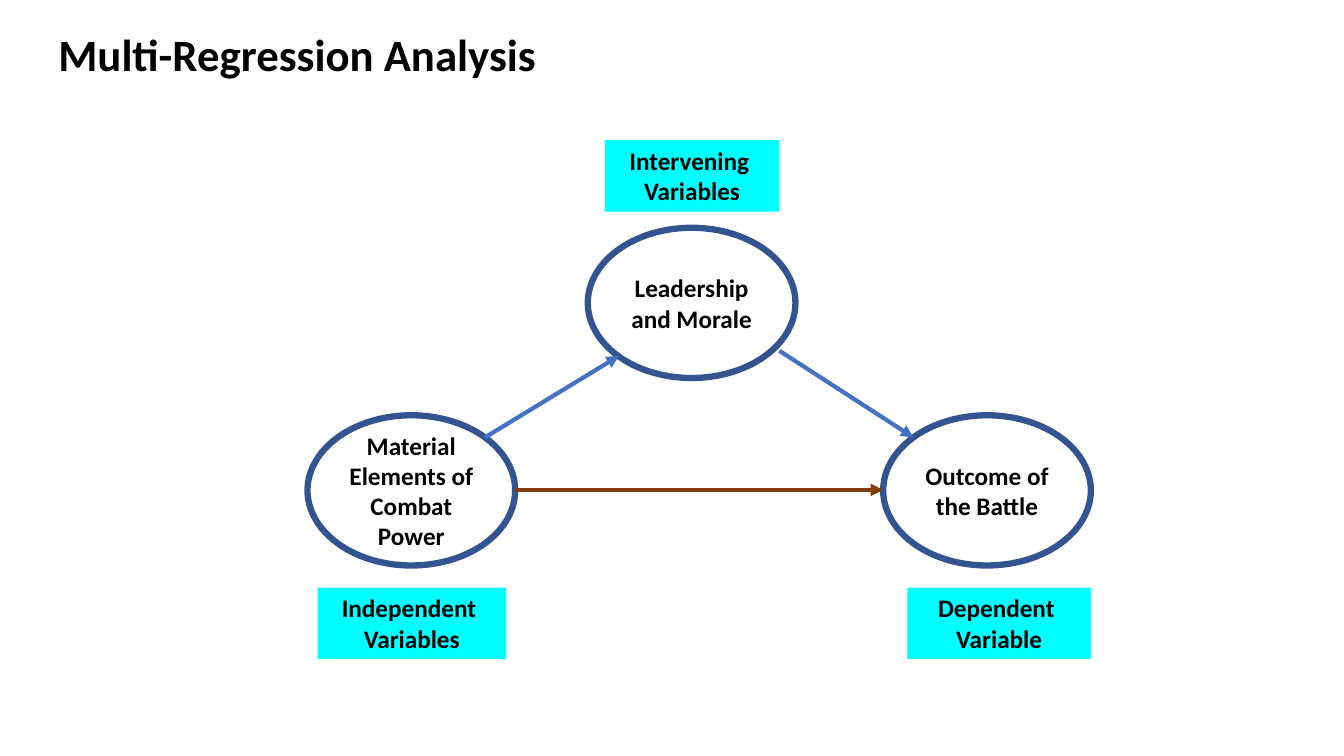
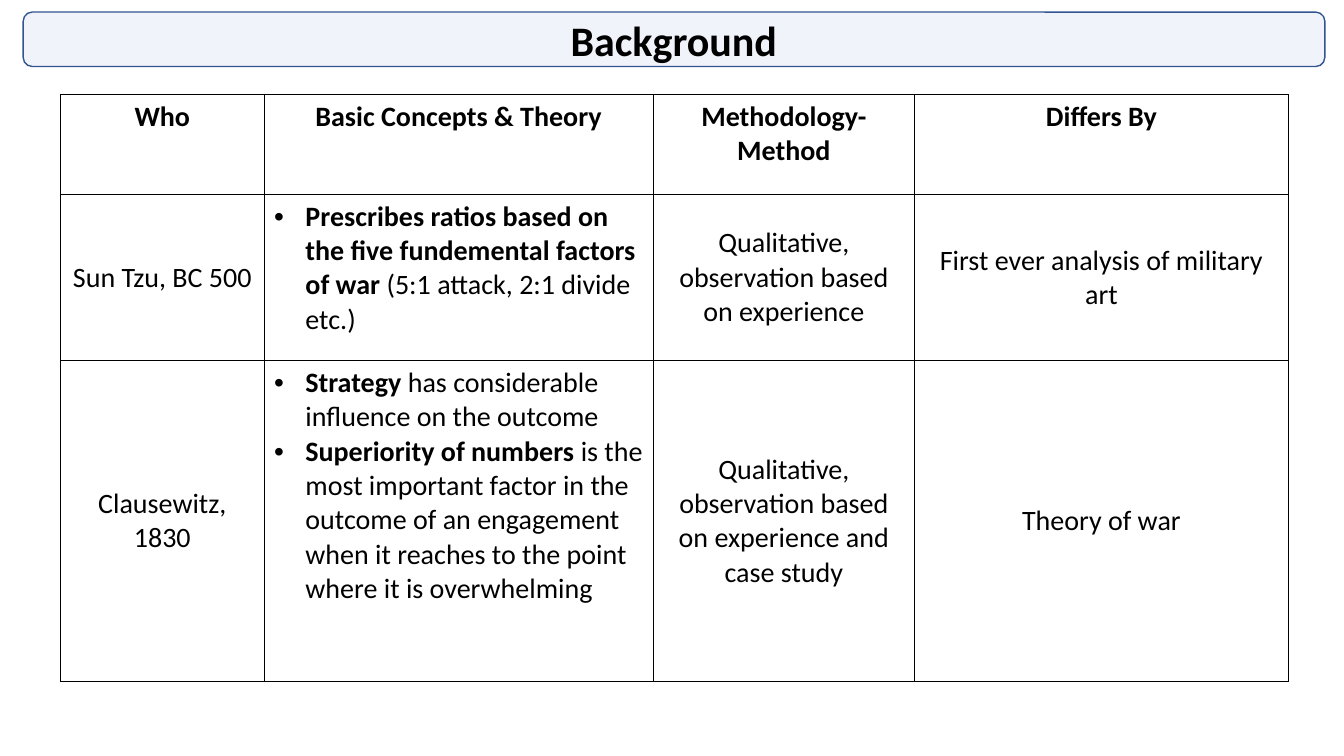
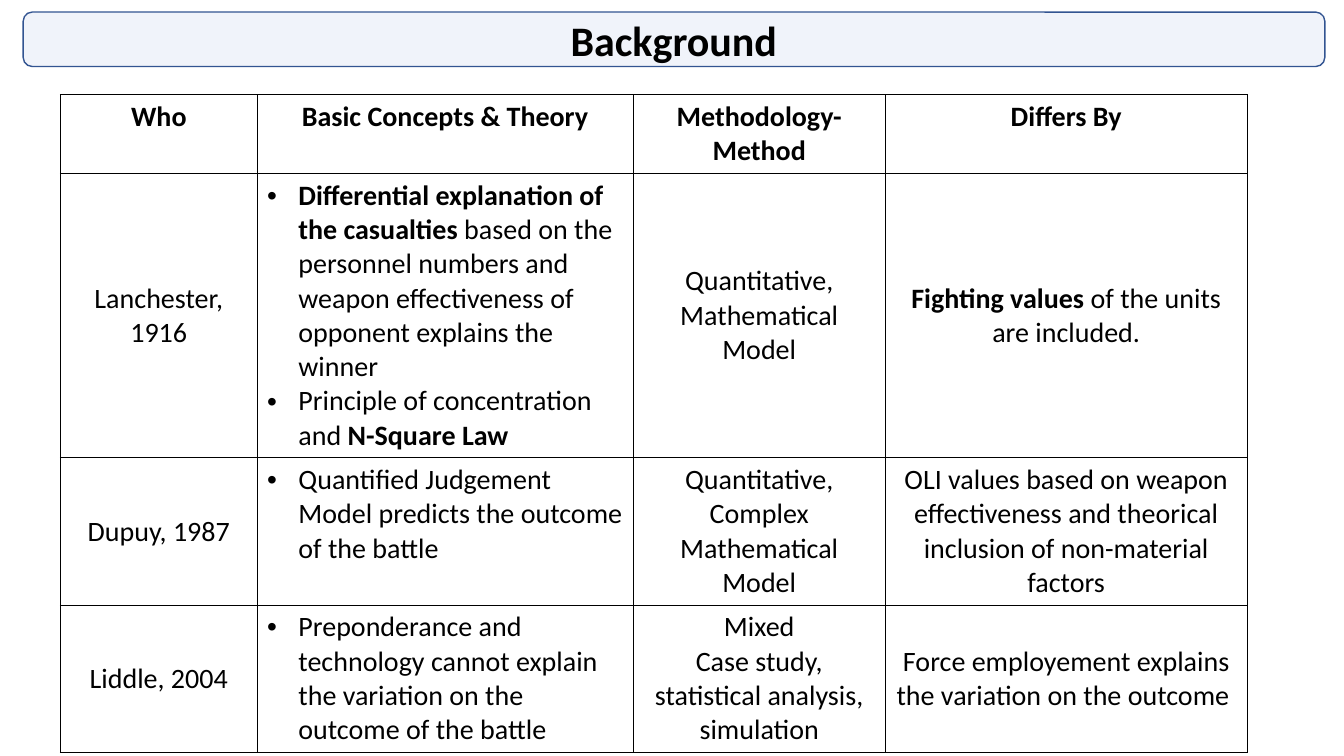
from dataclasses import dataclass
from typing import NamedTuple

import lxml.etree
import pptx
import pptx.dml.color
import pptx.enum.shapes
import pptx.enum.text
import pptx.oxml.ns
import pptx.util

Inches = pptx.util.Inches
Pt = pptx.util.Pt
qn = pptx.oxml.ns.qn
ALIGN = pptx.enum.text.PP_ALIGN
ANCHOR = pptx.enum.text.MSO_ANCHOR
SHAPE = pptx.enum.shapes.MSO_SHAPE

# Shared style
COLOURS = {
    "text": "000000",
    "outline": "325491",
    "blue": "4472C4",
    "brown": "843C0B",
    "label": "00FFFF",
}
FONT = "Calibri"
BULLET_INDENT = Inches(0.31)


class Span(NamedTuple):
    text: str
    bold: bool = False


Paragraphs = list[list[Span]]


@dataclass
class Node:
    text: str
    left: float
    top: float


@dataclass
class Label:
    lines: tuple[str, str]
    left: float
    top: float
    width: float


@dataclass
class Arrow:
    start: tuple[float, float]
    end: tuple[float, float]
    colour: str


@dataclass
class Source:
    who: str
    concepts: Paragraphs
    method: Paragraphs
    differs: Paragraphs


@dataclass
class Grid:
    widths: list[float]
    heights: list[float]
    total_height: float
    sources: list[Source]


def rgb(name: str) -> pptx.dml.color.RGBColor:
    return pptx.dml.color.RGBColor.from_string(COLOURS[name])


def lines(*texts: str, bold: bool = False) -> Paragraphs:
    return [[Span(text, bold)] for text in texts]


# Text
def write(frame, paragraphs: Paragraphs, size: float,
          align=ALIGN.CENTER, bullets: bool = False) -> None:
    frame.word_wrap = True
    for index, spans in enumerate(paragraphs):
        para = frame.add_paragraph() if index else frame.paragraphs[0]
        para.alignment = align
        if bullets:
            add_bullet(para)
        for span in spans:
            run = para.add_run()
            run.text = span.text
            run.font.name = FONT
            run.font.size = Pt(size)
            run.font.bold = span.bold
            run.font.color.rgb = rgb("text")


def add_bullet(para) -> None:
    properties = para._p.get_or_add_pPr()
    properties.set("marL", str(BULLET_INDENT))
    properties.set("indent", str(-BULLET_INDENT))
    lxml.etree.SubElement(properties, qn("a:buFont"), typeface="Arial")
    lxml.etree.SubElement(properties, qn("a:buChar"), char="•")


# Shapes
def add_box(page, kind, left: float, top: float, width: float, height: float,
            fill: str | None = None, line_width: float = 0):
    box = page.shapes.add_shape(
        kind, Inches(left), Inches(top), Inches(width), Inches(height))
    box.shadow.inherit = False
    if fill:
        box.fill.solid()
        box.fill.fore_color.rgb = rgb(fill)
    else:
        box.fill.background()
    if line_width:
        box.line.color.rgb = rgb("outline")
        box.line.width = Pt(line_width)
    else:
        box.line.fill.background()
    box.text_frame.vertical_anchor = ANCHOR.MIDDLE
    return box


def add_title(page, text: str) -> None:
    box = page.shapes.add_textbox(
        Inches(0.48), Inches(0.15), Inches(11.5), Inches(0.83))
    box.text_frame.vertical_anchor = ANCHOR.MIDDLE
    write(box.text_frame, lines(text, bold=True), 32, ALIGN.LEFT)
    box.text_frame.paragraphs[0].line_spacing = 0.9


def add_band(page, text: str) -> None:
    band = add_box(page, SHAPE.ROUNDED_RECTANGLE, 0.23, 0.12, 12.91, 0.54, "blue", 1)
    colour = band.element.find(".//" + qn("a:solidFill"))[0]
    lxml.etree.SubElement(colour, qn("a:alpha"), val="8000")
    write(band.text_frame, lines(text, bold=True), 30)


def add_node(page, node: Node) -> None:
    ellipse = add_box(page, SHAPE.OVAL, node.left, node.top, 2.06, 1.49, line_width=4.5)
    write(ellipse.text_frame, lines(node.text, bold=True), 18)


def add_label(page, label: Label) -> None:
    box = add_box(page, SHAPE.RECTANGLE, label.left, label.top, label.width, 0.71, "label")
    box.text_frame.vertical_anchor = ANCHOR.TOP
    box.text_frame.auto_size = pptx.enum.text.MSO_AUTO_SIZE.SHAPE_TO_FIT_TEXT
    write(box.text_frame, lines(*label.lines, bold=True), 18)


def add_arrow(page, arrow: Arrow) -> None:
    ends = [Inches(value) for value in arrow.start + arrow.end]
    connector = page.shapes.add_connector(
        pptx.enum.shapes.MSO_CONNECTOR.STRAIGHT, *ends)
    connector.line.color.rgb = rgb(arrow.colour)
    connector.line.width = Pt(3)
    lxml.etree.SubElement(connector.line._get_or_add_ln(), qn("a:tailEnd"), type="triangle")
    lxml.etree.SubElement(connector.element.spPr, qn("a:effectLst"))


# Tables
def add_borders(cell) -> None:
    properties = cell._tc.get_or_add_tcPr()
    for side in ("lnL", "lnR", "lnT", "lnB"):
        edge = lxml.etree.SubElement(properties, qn("a:" + side), w=str(Pt(1)))
        fill = lxml.etree.SubElement(edge, qn("a:solidFill"))
        lxml.etree.SubElement(fill, qn("a:srgbClr"), val=COLOURS["text"])


def add_grid(page, grid: Grid) -> None:
    rows = [[lines(text, bold=True) for text in HEADINGS]]
    rows += [[lines(source.who), source.concepts, source.method, source.differs]
             for source in grid.sources]
    holder = page.shapes.add_table(
        len(rows), len(HEADINGS), Inches(0.6), Inches(0.94),
        Inches(sum(grid.widths)), Inches(grid.total_height))
    table = holder.table
    table.first_row = False
    table.horz_banding = False
    for column, width in zip(table.columns, grid.widths):
        column.width = Inches(width)
    for row, height in zip(table.rows, grid.heights):
        row.height = Inches(height)
    holder.height = Inches(grid.total_height)
    for row_index, row in enumerate(rows):
        for column_index, paragraphs in enumerate(row):
            cell = table.cell(row_index, column_index)
            add_borders(cell)
            cell.fill.background()
            bullets = row_index > 0 and column_index == 1
            if row_index > 0 and not bullets:
                cell.vertical_anchor = ANCHOR.MIDDLE
            write(cell.text_frame, paragraphs, 20,
                  ALIGN.LEFT if bullets else ALIGN.CENTER, bullets)


# Content
NODES = [
    Node("Leadership and Morale", 5.83, 2.26),
    Node("Outcome of the Battle", 8.76, 4.12),
    Node("Material Elements of Combat Power", 3.05, 4.12),
]
LABELS = [
    Label(("Independent ", "Variables"), 3.15, 5.83, 1.87),
    Label(("Dependent ", "Variable"), 9, 5.83, 1.82),
    Label(("Intervening ", "Variables"), 6, 1.39, 1.73),
]
ARROWS = [
    Arrow((4.81, 4.34), (6.14, 3.53), "blue"),
    Arrow((5.11, 4.86), (8.76, 4.86), "brown"),
    Arrow((7.73, 3.48), (9.06, 4.34), "blue"),
]
HEADINGS = ["Who", "Basic Concepts & Theory", "Methodology-Method", "Differs By"]
CLASSICS = Grid([2.02, 3.86, 2.59, 3.71], [0.99, 1.65, 3.18], 5.81, [
    Source(
        "Sun Tzu, BC 500",
        [[Span("Prescribes ratios based on the five fundemental factors of war ", True),
          Span("(5:1 attack, 2:1 divide etc.)")]],
        lines("Qualitative, observation based on experience"),
        lines("First ever analysis of military art")),
    Source(
        "Clausewitz, 1830",
        [[Span("Strategy", True), Span(" has considerable influence on the outcome")],
         [Span("Superiority of numbers ", True),
          Span("is the most important factor in the outcome of an engagement "
               "when it reaches to the point where it is overwhelming")]],
        lines("Qualitative, observation based on experience and case study"),
        lines("Theory of war")),
])
MODERNS = Grid([1.95, 3.73, 2.5, 3.59], [0.59] * 4, 6.4, [
    Source(
        "Lanchester, 1916",
        [[Span("Differential explanation of the casualties ", True),
          Span("based on the personnel numbers and weapon effectiveness "
               "of opponent explains the winner")],
         [Span("Principle of concentration and "), Span("N-Square Law", True)]],
        lines("Quantitative, Mathematical Model"),
        [[Span("Fighting values ", True), Span("of the units are included.")]]),
    Source(
        "Dupuy, 1987",
        lines("Quantified Judgement Model predicts the outcome of the battle"),
        lines("Quantitative, Complex Mathematical Model"),
        lines("OLI values based on weapon effectiveness and theorical "
              "inclusion of non-material factors")),
    Source(
        "Liddle, 2004",
        lines("Preponderance and technology cannot explain the variation "
              "on the outcome of the battle"),
        lines("Mixed", "Case study, statistical analysis, simulation"),
        lines("Force employement explains the variation on the outcome ")),
])

# Deck
deck = pptx.Presentation()
deck.slide_width = Inches(13.33)
deck.slide_height = Inches(7.5)
blank = deck.slide_layouts[6]

# Slide 1: regression diagram
diagram = deck.slides.add_slide(blank)
add_title(diagram, "Multi-Regression Analysis")
for node in NODES:
    add_node(diagram, node)
for label in LABELS:
    add_label(diagram, label)
for arrow in ARROWS:
    add_arrow(diagram, arrow)

# Slides 2 and 3: background tables
for grid in (CLASSICS, MODERNS):
    page = deck.slides.add_slide(blank)
    add_grid(page, grid)
    add_band(page, "Background")

deck.save("out.pptx")
